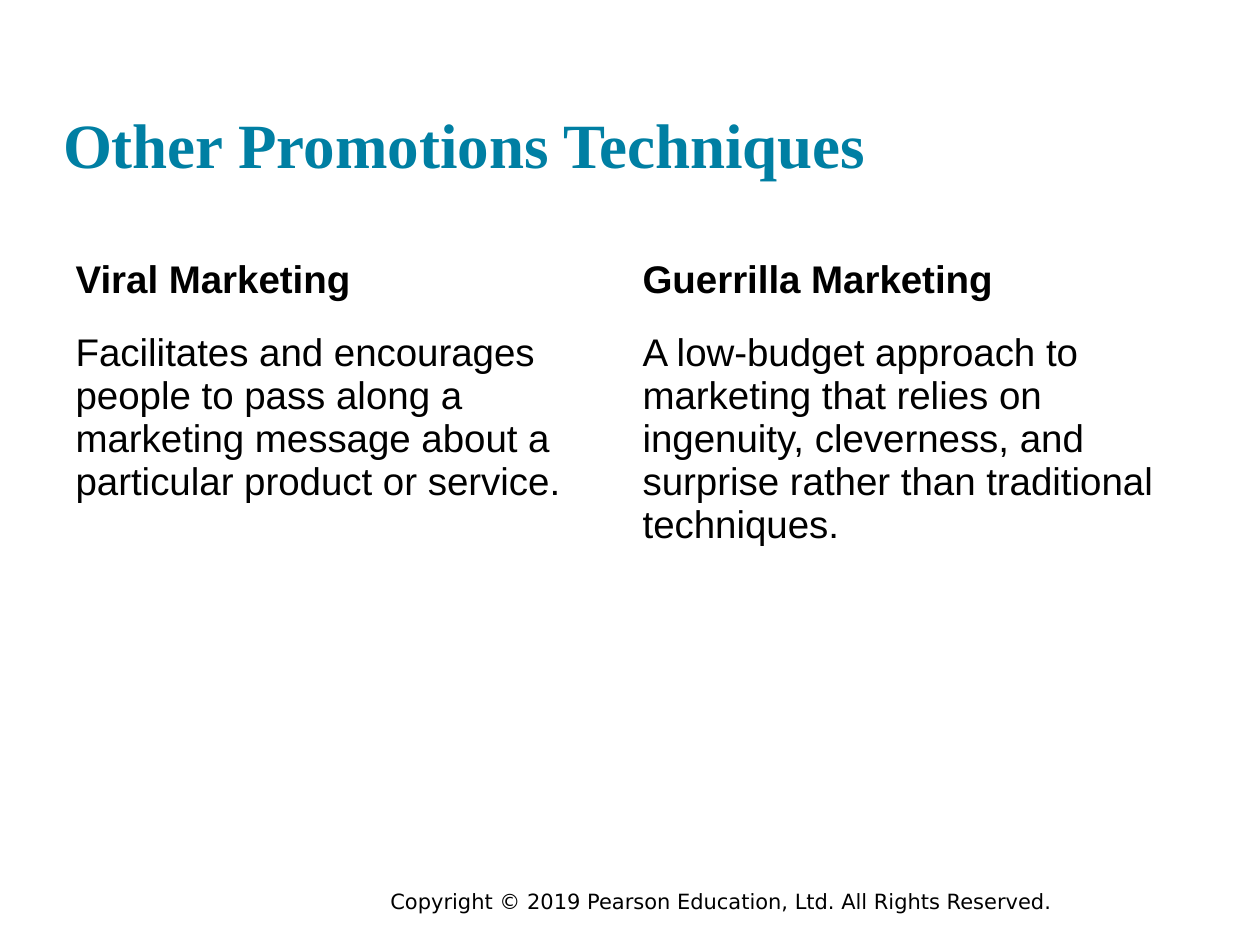
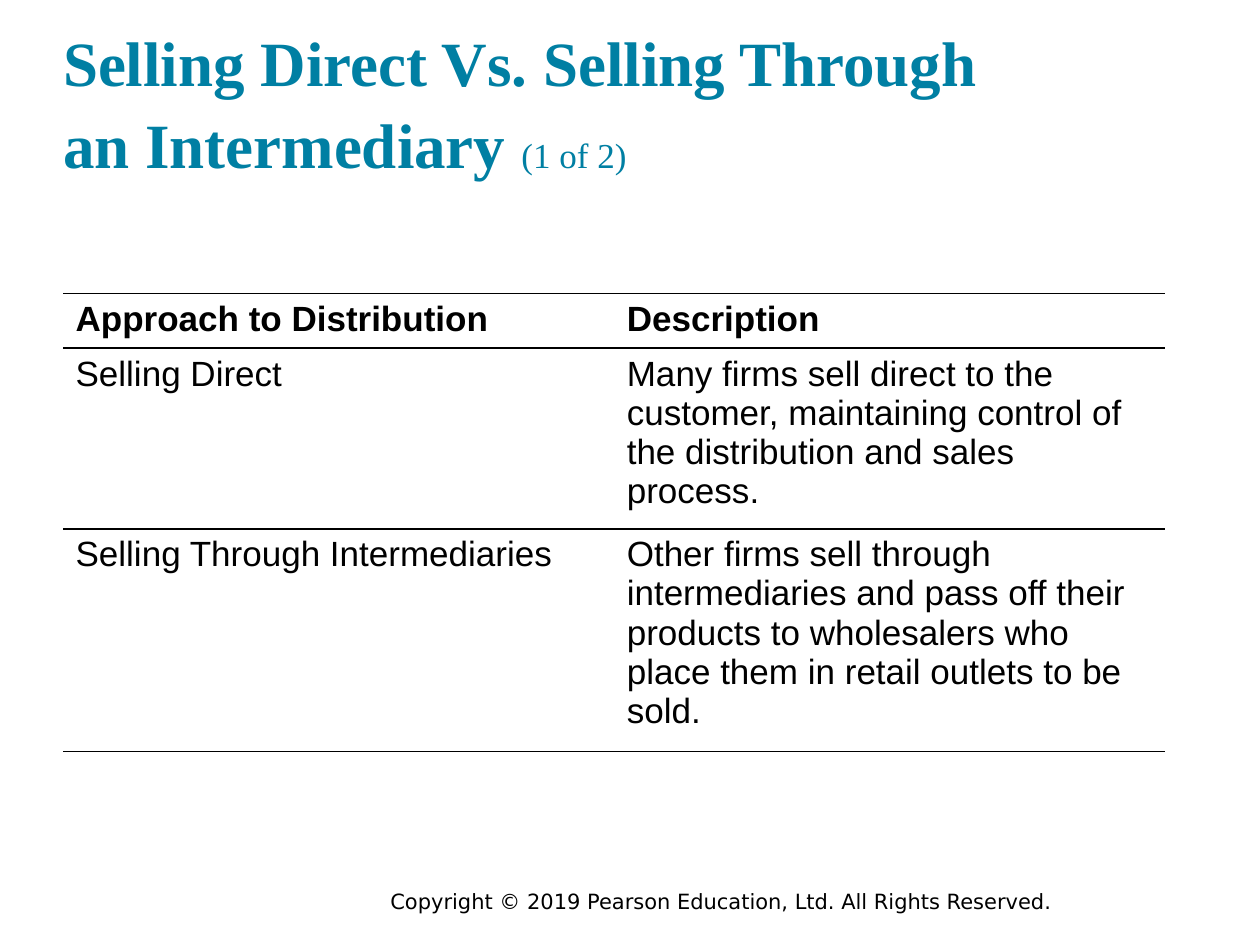
"""Builds two slides on promotion techniques and distribution approaches."""
from lxml import etree
from pptx import Presentation
from pptx import util as u
from pptx.dml.color import RGBColor
from pptx.enum import text
from pptx.oxml import ns

COLORS = {"title": "007FA3", "text": "000000"}
FOOTER = "Copyright © 2019 Pearson Education, Ltd. All Rights Reserved."
NO_STYLE = "{2D5ABB26-0587-4C30-8999-92F81FD0307C}"

prs = Presentation()
prs.slide_width, prs.slide_height = u.Inches(10), u.Inches(7.5)
W, H = prs.slide_width, prs.slide_height
LEFT = int(W * 0.05)

SLIDES = [
    {
        "title": [["Other Promotions Techniques"]],
        "title_width": 0.9,
        "top": 2,
        "width": 0.9,
        "row_heights": [0.58, 2.43],
        "size": 22,
        "ruled": False,
        "rows": [
            ["Viral Marketing", "Guerrilla Marketing"],
            ["Facilitates and encourages people to pass along a marketing message "
             "about a particular product or service.",
             "A low-budget approach to marketing that relies on ingenuity, cleverness, "
             "and surprise rather than traditional techniques."],
        ],
    },
    {
        "title": [["Selling Direct Vs. Selling Through "], ["an Intermediary ", "(1 of 2)"]],
        "title_width": 0.86,
        "top": 2.33,
        "width": 0.875,
        "row_heights": [0.41] * 3,
        "size": 20,
        "ruled": True,
        "rows": [
            ["Approach to Distribution", "Description"],
            ["Selling Direct",
             "Many firms sell direct to the customer, maintaining control of the "
             "distribution and sales process."],
            ["Selling Through Intermediaries",
             "Other firms sell through intermediaries and pass off their products to "
             "wholesalers who place them in retail outlets to be sold."],
        ],
    },
]


def add_run(p, words, font, size, color, bold=False):
    r = p.add_run()
    r.text = words
    r.font.name, r.font.size, r.font.bold = font, u.Pt(size), bold
    r.font.color.rgb = RGBColor.from_string(COLORS[color])


def add_rules(cell):
    tcPr = cell._tc.get_or_add_tcPr()
    for tag in ("a:lnT", "a:lnB"):
        ln = etree.SubElement(tcPr, ns.qn(tag), w=str(u.Pt(1)))
        fill = etree.SubElement(ln, ns.qn("a:solidFill"))
        etree.SubElement(fill, ns.qn("a:srgbClr"), val=COLORS["text"])


for spec_row in SLIDES:
    s = prs.slides.add_slide(prs.slide_layouts[5])

    sp = s.shapes.add_textbox(int(W * 0.3), u.Inches(7), int(W * 0.667), int(H * 0.04))
    sp.text_frame.word_wrap = True
    add_run(sp.text_frame.paragraphs[0], FOOTER, "DejaVu Sans", 12, "text")

    sp = s.shapes.title
    sp.left, sp.top = LEFT, u.Inches(0.24)
    sp.width, sp.height = int(W * spec_row["title_width"]), int(H * 0.16)
    tf = sp.text_frame
    tf.margin_left = tf.margin_top = tf.margin_right = tf.margin_bottom = 0
    tf.vertical_anchor = text.MSO_ANCHOR.BOTTOM
    tf.auto_size = text.MSO_AUTO_SIZE.NONE
    tf.word_wrap = True
    p = tf.paragraphs[0]
    p.alignment = text.PP_ALIGN.LEFT
    p.line_spacing = 1.09
    for i, line in enumerate(spec_row["title"]):
        if i:
            p.add_line_break()
        for words, size, bold in zip(line, (36, 20), (True, False)):
            add_run(p, words, "Times New Roman", size, "title", bold)

    rows, heights = spec_row["rows"], spec_row["row_heights"]
    table = s.shapes.add_table(len(rows), 2, LEFT, u.Inches(spec_row["top"]),
                               int(W * spec_row["width"]), u.Inches(sum(heights))).table
    table.horz_banding = False
    table._tbl.tblPr.find(ns.qn("a:tableStyleId")).text = NO_STYLE
    for i, (row, height) in enumerate(zip(rows, heights)):
        table.rows[i].height = u.Inches(height)
        for j, words in enumerate(row):
            cell = table.cell(i, j)
            if spec_row["ruled"]:
                add_rules(cell)
            cell.fill.background()
            add_run(cell.text_frame.paragraphs[0], words, "Arial",
                    spec_row["size"], "text", i == 0)

prs.save("out.pptx")
